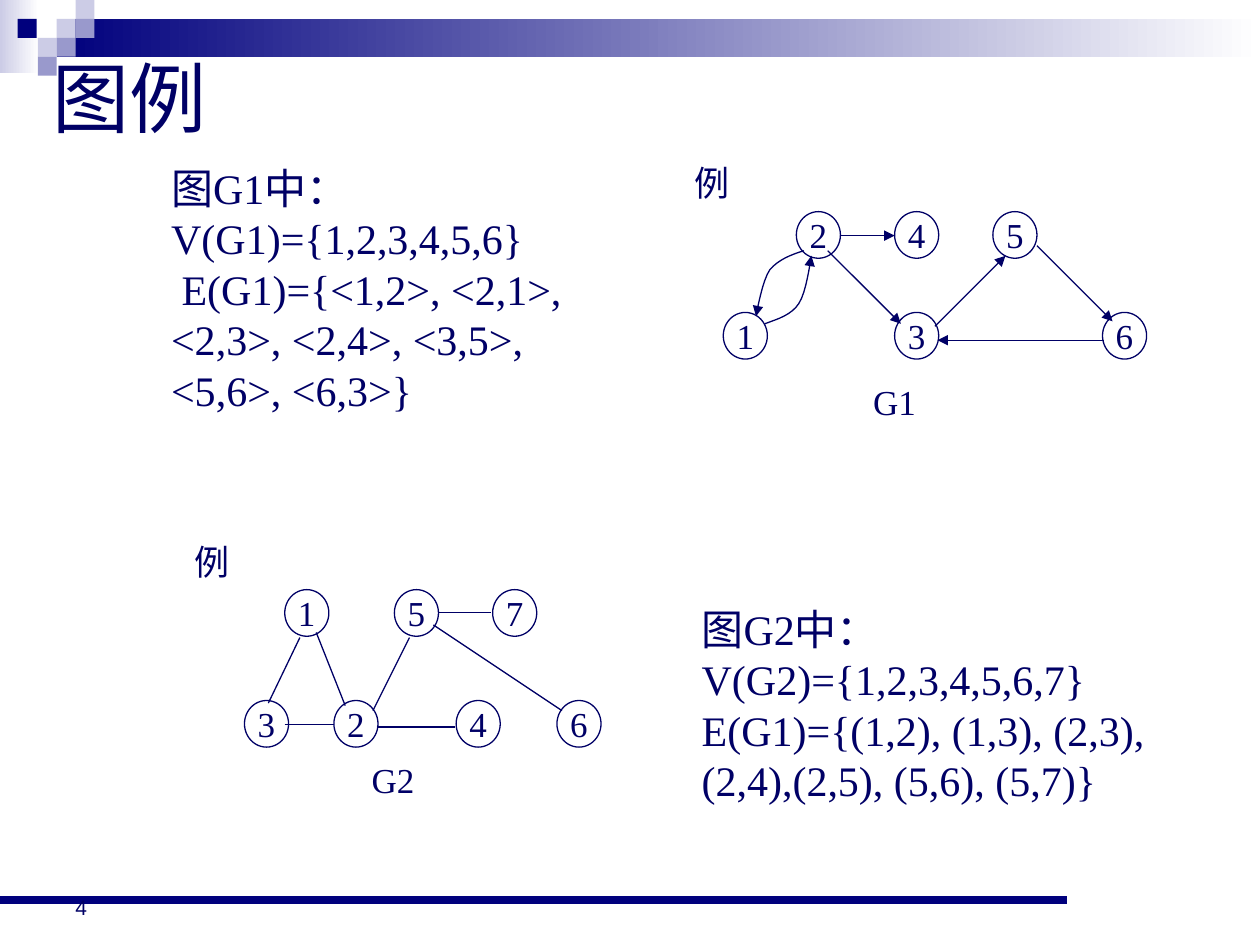
from pptx import Presentation, util as u
from pptx.dml import color
from pptx.enum import shapes, text
from lxml import etree

I = u.Inches
A = "{http://schemas.openxmlformats.org/drawingml/2006/main}"
RGB = color.RGBColor.from_string
hues = {"ink": "000066", "navy": "00007D", "mid": "9999CC",
        "pale": "CCCCE6", "white": "FFFFFF"}
SERIF, SANS, HAN = "Times New Roman", "Arial", "Noto Sans CJK SC"
LEFT, MID = text.PP_ALIGN.LEFT, text.PP_ALIGN.CENTER


def write(shape, lines, size, face=SERIF, align=LEFT, wrap=True):
    frame = shape.text_frame
    frame.text = "\n".join(lines)
    frame.word_wrap = wrap
    frame.vertical_anchor = text.MSO_ANCHOR.MIDDLE
    for para in frame.paragraphs:
        para.alignment = align
        font = para.font
        font.size, font.name = u.Pt(size), face
        font.color.rgb = RGB(hues["ink"])
        style = para._p.pPr.find(A + "defRPr")
        etree.SubElement(style, A + "ea", typeface=HAN)


def stroke(item, hue="ink", width=0.75, arrow=False):
    item.line.color.rgb = RGB(hues[hue])
    item.line.width = u.Pt(width)
    props = item._element.spPr
    if arrow:
        etree.SubElement(props.find(A + "ln"), A + "tailEnd", type="triangle")
    if props.find(A + "effectLst") is None:
        etree.SubElement(props, A + "effectLst")


deck = Presentation()
deck.slide_width, deck.slide_height = I(10), I(7.5)
slide = deck.slides.add_slide(deck.slide_layouts[5])
draw = slide.shapes
RECT, OVAL = shapes.MSO_SHAPE.RECTANGLE, shapes.MSO_SHAPE.OVAL

bands = [(0, 0, 0.31, 0.58, "pale"), (0.45, 0.15, 9.55, 0.3, "navy")]
for x, y, w, h, hue in bands:
    band = draw.add_shape(RECT, I(x), I(y), I(w), I(h))
    band.shadow.inherit = False
    band.line.fill.background()
    band.fill.gradient()
    band.fill.gradient_angle = 0
    for stop, tone in zip(band.fill.gradient_stops, (hue, "white")):
        stop.color.rgb = RGB(hues[tone])

tiles = [(0.45, 0.15, "pale"), (0.6, 0, "pale"), (0.6, 0.15, "mid"),
         (0.3, 0.3, "pale"), (0.14, 0.15, "navy"), (0.45, 0.3, "mid"),
         (0.3, 0.45, "mid")]
for x, y, hue in tiles:
    tile = draw.add_shape(RECT, I(x), I(y), I(0.15), I(0.15))
    tile.shadow.inherit = False
    tile.line.fill.background()
    tile.fill.solid()
    tile.fill.fore_color.rgb = RGB(hues[hue])

STRAIGHT = shapes.MSO_CONNECTOR.STRAIGHT
rule = draw.add_connector(STRAIGHT, 0, I(7.14), I(8.47), I(7.14))
stroke(rule, "navy", 4.5)

title = draw.title
title.left, title.top, title.width, title.height = I(0.32), I(0.14), I(8.5), I(1.25)
write(title, ["图例"], 44, HAN)

page = draw.add_textbox(I(0.5), I(6.83), I(2.33), I(0.52))
write(page, ["4"], 12, SANS)
page.text_frame.vertical_anchor = text.MSO_ANCHOR.BOTTOM

notes = [
    (1.26, 1.24, 3.74, 2.1,
     ["图G1中：V(G1)={1,2,3,4,5,6}",
      " E(G1)={<1,2>, <2,1>, <2,3>, <2,4>, <3,5>, <5,6>, <6,3>}"]),
    (5.47, 4.74, 3.78, 1.7,
     ["图G2中：V(G2)={1,2,3,4,5,6,7}",
      "E(G1)={(1,2), (1,3), (2,3), (2,4),(2,5), (5,6), (5,7)}"]),
]
for x, y, w, h, lines in notes:
    write(draw.add_textbox(I(x), I(y), I(w), I(h)), lines, 24)

labels = [("例", 5.41, 1.23, 0.48), ("G1", 6.83, 2.97, 0.54),
          ("例", 1.44, 4.24, 0.48), ("G2", 2.85, 5.97, 0.54)]
for name, x, y, w in labels:
    box = draw.add_textbox(I(x), I(y), I(w), I(0.44))
    write(box, [name], 20, align=MID, wrap=False)

rows = [
    (1.68, {"2": 6.32, "4": 7.1, "5": 7.88}),
    (2.48, {"1": 5.74, "3": 7.1, "6": 8.75}),
    (4.68, {"1": 2.26, "5": 3.13, "7": 3.91}),
    (5.56, {"3": 1.94, "2": 2.65, "4": 3.62, "6": 4.42}),
]
for y, nodes in rows:
    for name, x in nodes.items():
        node = draw.add_shape(OVAL, I(x), I(y), I(0.35), I(0.37))
        node.fill.background()
        stroke(node)
        write(node, [name], 20, align=MID, wrap=False)

arcs = [(6.67, 1.87, 7.1, 1.87), (6.57, 1.99, 7.15, 2.57),
        (8.76, 2.7, 7.44, 2.7), (7.42, 2.59, 7.98, 2.03),
        (8.23, 1.95, 8.83, 2.55)]
edges = [(2.38, 5.06, 2.13, 5.58), (2.26, 5.75, 2.65, 5.75),
         (2.51, 5.02, 2.74, 5.6), (3.25, 5.06, 2.96, 5.64),
         (2.99, 5.77, 3.61, 5.77), (3.48, 4.86, 3.9, 4.86),
         (3.44, 4.96, 4.46, 5.64)]
for ends in arcs + edges:
    link = draw.add_connector(STRAIGHT, *map(I, ends))
    stroke(link, arrow=ends in arcs)

curves = [
    [(6.38, 1.99), (6.28, 2.02), (6.18, 2.06), (6.11, 2.14),
     (6.05, 2.23), (6.01, 2.46), (6, 2.51)],
    [(6.07, 2.57), (6.18, 2.53), (6.28, 2.5), (6.34, 2.41),
     (6.4, 2.32), (6.43, 2.08), (6.44, 2.03)],
]
STEPS = 8
for curve in curves:
    spots = []
    for part in (curve[:4], curve[3:]):
        for step in range(1, STEPS + 1):
            t = step / STEPS
            blend = ((1 - t) ** 3, 3 * t * (1 - t) ** 2, 3 * t * t * (1 - t), t ** 3)
            spots.append([I(sum(b * p[axis] for b, p in zip(blend, part)))
                          for axis in (0, 1)])
    pen = draw.build_freeform(I(curve[0][0]), I(curve[0][1]))
    pen.add_line_segments(spots, close=False)
    bend = pen.convert_to_shape()
    bend.fill.background()
    stroke(bend, arrow=True)

deck.save("out.pptx")
